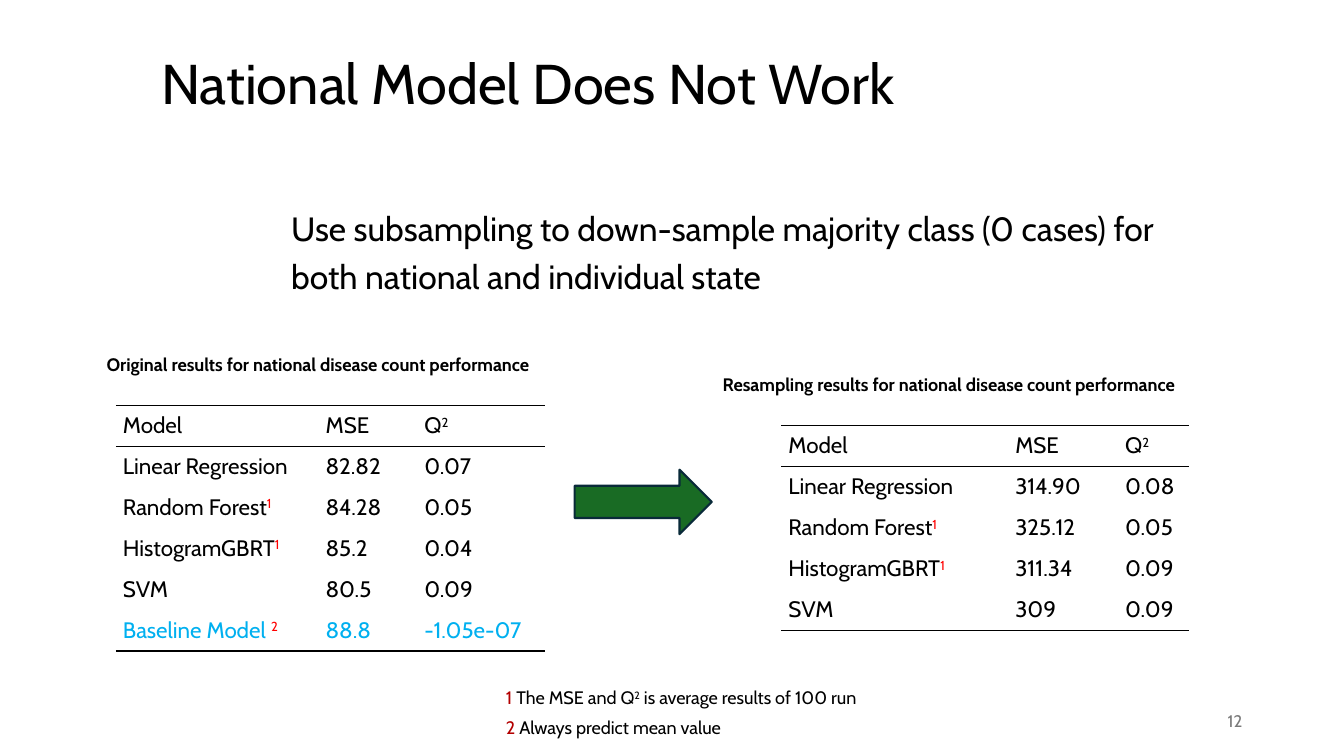
from lxml.etree import SubElement
from pptx import Presentation
from pptx.dml.color import RGBColor
from pptx.enum.shapes import MSO_SHAPE
from pptx.enum.text import MSO_ANCHOR, PP_ALIGN
from pptx.oxml.ns import qn
from pptx.util import Inches, Pt

BLACK = RGBColor(0x00, 0x00, 0x00)
RED = RGBColor(0xFF, 0x00, 0x00)
DARK_RED = RGBColor(0xB3, 0x00, 0x00)
SKY = RGBColor(0x00, 0xB0, 0xF0)
GREEN = RGBColor(0x19, 0x6B, 0x24)
NAVY = RGBColor(0x09, 0x2A, 0x39)
GRAY = RGBColor(0x79, 0x79, 0x79)
FONT = "Cabin"
Q_SQUARED = [("Q",), ("2", None, True)]
HEADER = ["Model", "MSE", Q_SQUARED]


def noted(model, note):
    """Return a model name followed by a red footnote mark."""
    return [(model,), (note, RED, True)]


ORIGINAL_RESULTS = [
    HEADER,
    ["Linear Regression", "82.82", "0.07"],
    [noted("Random Forest", "1"), "84.28", "0.05"],
    [noted("HistogramGBRT", "1"), "85.2", "0.04"],
    ["SVM", "80.5", "0.09"],
    [noted("Baseline Model ", "2"), "88.8", "-1.05e-07"],
]
RESAMPLING_RESULTS = [
    HEADER,
    ["Linear Regression", "314.90", "0.08"],
    [noted("Random Forest", "1"), "325.12", "0.05"],
    [noted("HistogramGBRT", "1"), "311.34", "0.09"],
    ["SVM", "309", "0.09"],
]


def write(paragraph, content, size, color=BLACK, bold=False):
    """Fill a paragraph from a string or from (text, color, raised) pieces."""
    font = paragraph.font
    font.name, font.size, font.bold = FONT, Pt(size), bold
    font.color.rgb = color
    pieces = [(content,)] if isinstance(content, str) else content
    for text, tint, raised in (tuple(piece) + (None, False)[len(piece) - 1:] for piece in pieces):
        run = paragraph.add_run()
        run.text = text
        if tint is not None:
            run.font.color.rgb = tint
        if raised:
            run._r.get_or_add_rPr().set("baseline", "30000")


def add_text(slide, box, lines, size, color=BLACK, bold=False, wrap=True,
             anchor=MSO_ANCHOR.TOP, align=PP_ALIGN.LEFT, after=0, spacing=1.0):
    """Place lines of text in a box."""
    frame = slide.shapes.add_textbox(*map(Inches, box)).text_frame
    frame.word_wrap = wrap
    frame.vertical_anchor = anchor
    for index, line in enumerate(lines):
        paragraph = frame.add_paragraph() if index else frame.paragraphs[0]
        paragraph.alignment = align
        paragraph.space_after = Pt(after)
        paragraph.line_spacing = spacing
        write(paragraph, line, size, color, bold)


def rule_cell(cell, top, bottom):
    """Draw the chosen horizontal rules of a cell and clear everything else."""
    properties = cell._tc.get_or_add_tcPr()
    for side, shown in (("L", False), ("R", False), ("T", top), ("B", bottom)):
        line = SubElement(properties, qn(f"a:ln{side}"), w=str(Pt(1)))
        if shown:
            fill = SubElement(line, qn("a:solidFill"))
            SubElement(fill, qn("a:srgbClr"), val=str(BLACK))
        else:
            SubElement(line, qn("a:noFill"))
    cell.fill.background()


def add_results(slide, box, caption_left, caption_width, caption, rows, widths):
    """Place a results table with its caption above it."""
    left, top, width, height = box
    add_text(slide, (caption_left, top - 0.56, caption_width, 0.32), [caption],
             12.9, bold=True, wrap=False, after=6)
    frame = slide.shapes.add_table(len(rows), len(widths), *map(Inches, box))
    table = frame.table
    table.first_row = table.horz_banding = False
    for column, share in zip(table.columns, widths):
        column.width = Inches(share)
    last = len(rows) - 1
    for r, values in enumerate(rows):
        table.rows[r].height = Inches(height / len(rows))
        color = SKY if isinstance(values[0], list) and values[0][0][0].startswith("Baseline") else BLACK
        for c, value in enumerate(values):
            cell = table.cell(r, c)
            cell.margin_left = cell.margin_right = Inches(0.07)
            cell.margin_top = cell.margin_bottom = Inches(0.07)
            cell.vertical_anchor = MSO_ANCHOR.MIDDLE
            write(cell.text_frame.paragraphs[0], value, 16, color)
            rule_cell(cell, r < 2, r in (0, last))


def add_arrow(slide, box):
    """Place the arrow that leads from one table to the other."""
    arrow = slide.shapes.add_shape(MSO_SHAPE.RIGHT_ARROW, *map(Inches, box))
    arrow.shadow.inherit = False
    arrow.fill.solid()
    arrow.fill.fore_color.rgb = GREEN
    arrow.line.color.rgb = NAVY
    arrow.line.width = Pt(1.5)


def add_footer(slide, notes_box, number_box):
    """Place the footnotes and the slide number."""
    notes = [
        [("1 ", DARK_RED), ("The MSE and ",), *Q_SQUARED, (" is average results of 100 run",)],
        [("2", DARK_RED), (" Always predict mean value",)],
    ]
    add_text(slide, notes_box, notes, 12.9, after=6)
    add_text(slide, number_box, ["12"], 12, GRAY, anchor=MSO_ANCHOR.MIDDLE,
             align=PP_ALIGN.RIGHT)


def main():
    """Build and save the slide."""
    deck = Presentation()
    deck.slide_width, deck.slide_height = Inches(13.33), Inches(7.5)
    slide = deck.slides.add_slide(deck.slide_layouts[6])
    add_text(slide, (1.5, 0.38, 10.98, 0.96), ["National Model Does Not Work"], 40,
             anchor=MSO_ANCHOR.MIDDLE, spacing=0.9)
    add_text(slide, (2.79, 2.01, 9.14, 0.99),
             ["Use subsampling to down-sample majority class (0 cases) for",
              "both national and individual state"], 24, wrap=False, after=6)
    add_results(slide, (1.15, 4.02, 4.26, 2.43), 0.96, 4.74,
                "Original results for national disease count performance",
                ORIGINAL_RESULTS, (2.01, 0.98, 1.27))
    add_results(slide, (7.75, 4.22, 4.04, 2.03), 7.07, 5.06,
                "Resampling results for national disease count performance",
                RESAMPLING_RESULTS, (2.25, 1.09, 0.7))
    add_footer(slide, (4.92, 6.76, 6.33, 0.62), (9.42, 6.95, 3, 0.4))
    add_arrow(slide, (5.7, 4.66, 1.36, 0.64))
    deck.save("out.pptx")


if __name__ == "__main__":
    main()
